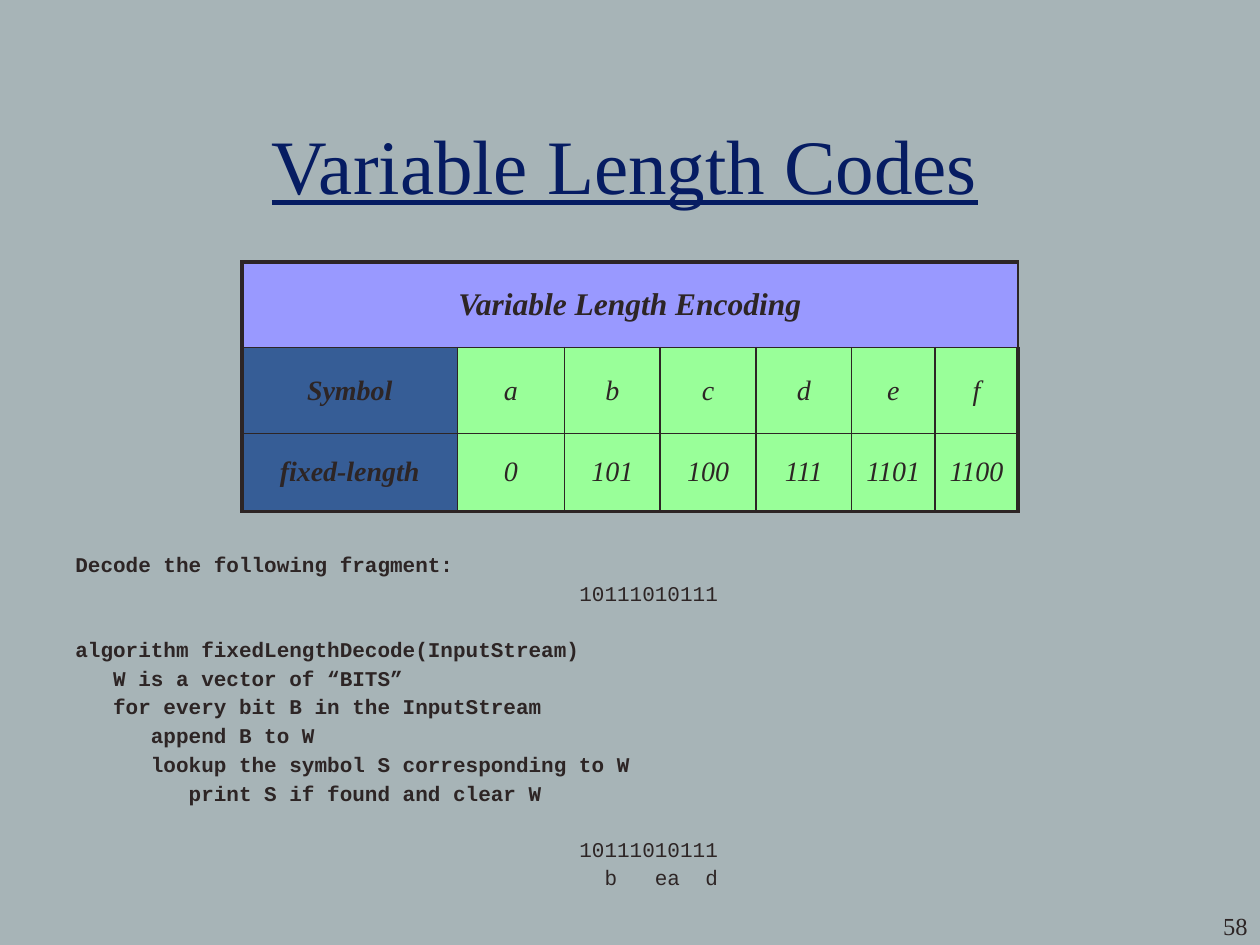
from lxml.etree import SubElement
from pptx import Presentation
from pptx.dml.color import RGBColor
from pptx.enum.text import MSO_ANCHOR as Anchor, PP_ALIGN as Align
from pptx.oxml.ns import qn
from pptx.util import Inches, Pt

BACKGROUND = RGBColor(0xA7, 0xB4, 0xB7)
INK = RGBColor(0x2D, 0x25, 0x25)
NAVY = RGBColor(0x06, 0x1C, 0x62)
LILAC = RGBColor(0x99, 0x99, 0xFF)
BLUE = RGBColor(0x36, 0x5D, 0x96)
GREEN = RGBColor(0x99, 0xFF, 0x99)
SERIF = "Times New Roman"
MONO = "Courier New"

COLUMN_WIDTHS = [1.71, 0.85, 0.76, 0.76, 0.76, 0.66, 0.66]
ROW_HEIGHTS = [0.68, 0.68, 0.62]
ENCODING = [
    ["Variable Length Encoding"] + [""] * 6,
    ["Symbol", "a", "b", "c", "d", "e", "f"],
    ["fixed-length", "0", "101", "100", "111", "1101", "1100"],
]
LINE_GAP = 2
BLOCK_GAP = 17.6
CODE_LINES = [
    ("Decode the following fragment:", True, 0, 0),
    ("10111010111", False, 4, LINE_GAP),
    ("algorithm fixedLengthDecode(InputStream)", True, 0, BLOCK_GAP),
    ("   W is a vector of “BITS”", True, 0, LINE_GAP),
    ("   for every bit B in the InputStream", True, 0, LINE_GAP),
    ("      append B to W", True, 0, LINE_GAP),
    ("      lookup the symbol S corresponding to W", True, 0, LINE_GAP),
    ("         print S if found and clear W", True, 0, LINE_GAP),
    ("10111010111", False, 4, BLOCK_GAP),
    ("  b   ea  d", False, 4, LINE_GAP),
]


def style_font(font, size, name=SERIF, color=INK, bold=False, italic=False):
    """Set the look of one font."""
    font.size, font.name = Pt(size), name
    font.bold, font.italic = bold, italic
    font.color.rgb = color


def add_text_frame(slide, left, top, width, height):
    """Add a wrapping text box and return its text frame."""
    box = slide.shapes.add_textbox(Inches(left), Inches(top), Inches(width), Inches(height))
    box.text_frame.word_wrap = True
    return box.text_frame


def add_title(slide, left, top, width, height):
    """Place the underlined slide title."""
    frame = add_text_frame(slide, left, top, width, height)
    frame.vertical_anchor = Anchor.MIDDLE
    title = frame.paragraphs[0]
    title.text = "Variable Length Codes"
    title.alignment = Align.CENTER
    style_font(title.runs[0].font, 44, color=NAVY)
    title.runs[0].font.underline = True


def add_page_number(slide, left, top, width, height):
    """Place the right-aligned page number."""
    number = add_text_frame(slide, left, top, width, height).paragraphs[0]
    number.text = "58"
    number.alignment = Align.RIGHT
    style_font(number.runs[0].font, 14)


def set_borders(cell, **widths):
    """Draw the cell's borders, given in points by side."""
    properties = cell._tc.get_or_add_tcPr()
    for side, width in widths.items():
        line = SubElement(properties, qn(f"a:ln{side}"), w=str(Pt(width)))
        fill = SubElement(line, qn("a:solidFill"))
        SubElement(fill, qn("a:srgbClr"), val=str(INK))


def add_encoding_table(slide, left, top, width, height):
    """Place the table of symbols and their codes."""
    last_row, last_column = len(ROW_HEIGHTS) - 1, len(COLUMN_WIDTHS) - 1
    table = slide.shapes.add_table(
        len(ROW_HEIGHTS), len(COLUMN_WIDTHS),
        Inches(left), Inches(top), Inches(width), Inches(height),
    ).table
    for column, column_width in zip(table.columns, COLUMN_WIDTHS):
        column.width = Inches(column_width)
    for row, row_height in zip(table.rows, ROW_HEIGHTS):
        row.height = Inches(row_height)
    table.cell(0, 0).merge(table.cell(0, last_column))
    for r, texts in enumerate(ENCODING):
        for c, text in enumerate(texts):
            cell = table.cell(r, c)
            edges = {"L": c == 0, "R": c == last_column, "T": r == 0, "B": r == last_row}
            set_borders(cell, **{side: 2.25 if outer else 1 for side, outer in edges.items()})
            cell.fill.solid()
            cell.fill.fore_color.rgb = LILAC if r == 0 else BLUE if c == 0 else GREEN
            cell.vertical_anchor = Anchor.MIDDLE
            if text:
                label = cell.text_frame.paragraphs[0]
                label.text = text
                label.alignment = Align.CENTER
                style_font(label.runs[0].font, 18 if r == 0 else 16, bold=c == 0, italic=True)


def add_decoding(slide, left, top, width, height):
    """Place the decoding exercise and its algorithm."""
    frame = add_text_frame(slide, left, top, width, height)
    for index, (text, bold, indent, gap) in enumerate(CODE_LINES):
        line = frame.add_paragraph() if index else frame.paragraphs[0]
        line.text = text
        line.space_before = Pt(gap)
        line._p.get_or_add_pPr().set("marL", str(Inches(indent)))
        style_font(line.runs[0].font, 12, MONO, bold=bold)


def main():
    """Build and save the slide."""
    deck = Presentation()
    deck.slide_width, deck.slide_height = Inches(10), Inches(7.5)
    slide = deck.slides.add_slide(deck.slide_layouts[6])
    slide.background.fill.solid()
    slide.background.fill.fore_color.rgb = BACKGROUND
    add_page_number(slide, 8.33, 7.18, 1.67, 0.5)
    add_title(slide, 0.25, 0.67, 9.42, 1.25)
    add_encoding_table(slide, 1.92, 2.08, sum(COLUMN_WIDTHS), sum(ROW_HEIGHTS))
    add_decoding(slide, 0.5, 4.33, 8.83, 2.73)
    deck.save("out.pptx")


if __name__ == "__main__":
    main()
